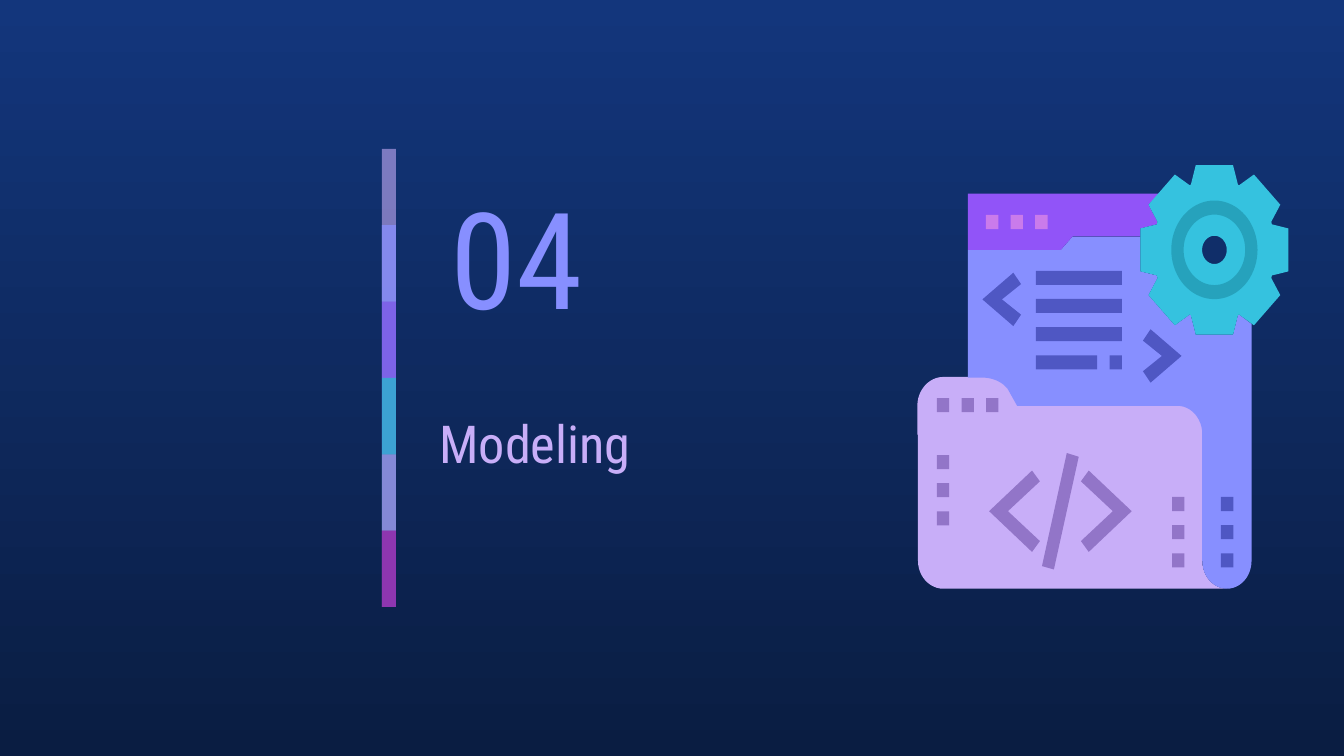
"""Build the "04 Modeling" section slide with its folder-and-gear illustration."""
from dataclasses import dataclass
from math import cos, pi, sin
from typing import NamedTuple, Sequence

from lxml import etree
from pptx import Presentation
from pptx.dml import color
from pptx.enum import shapes, text
from pptx.oxml import ns
from pptx.util import Pt

Outline = list[tuple[float, float]]


@dataclass(frozen=True)
class Theme:
    sky: str = "13367C"
    night: str = "0A1D42"
    lilac: str = "C8AEF8"
    blue: str = "878FFF"
    violet: str = "9154F8"
    cyan: str = "35C2DF"
    teal: str = "26A2BC"
    pink: str = "CA7BEB"
    plum: str = "972CB4"
    mauve: str = "9275C8"
    indigo: str = "4F57C3"
    font: str = "Roboto Condensed"
    number_size: float = 72
    title_size: float = 28


class Bar(NamedTuple):
    colour: str
    opacity: int
    steps: int = 2


class DotRow(NamedTuple):
    left: float
    top: float
    colour: str
    across: bool = False


class Chevron(NamedTuple):
    tip: tuple[float, float]
    outer: tuple[float, float]
    inner: tuple[float, float]
    notch: float
    colour: str
    direction: int = 1


THEME = Theme()
UNIT_X, UNIT_Y = 6.6, 7.55
GEAR_CENTRE = (650.6, 133.9)
BAR_LEFT, BAR_TOP, BAR_WIDTH, BAR_STEP = 204.6, 79.8, 7.5, 40.9
BARS = [
    Bar(THEME.lilac, 59), Bar(THEME.blue, 74), Bar(THEME.violet, 53),
    Bar(THEME.cyan, 76), Bar(THEME.pink, 56), Bar(THEME.plum, 74, 1),
]
DOT_ROWS = [
    DotRow(528.2, 115.2, THEME.pink, True),
    DotRow(501.9, 213.3, THEME.mauve, True),
    DotRow(501.9, 243.8, THEME.mauve),
    DotRow(627.9, 266.3, THEME.mauve),
    DotRow(654.1, 266.3, THEME.indigo),
]
SMALL = ((16.6, 14.3), (20.7, 8.2), 10.5, THEME.indigo)
LARGE = ((23, 21.8), (27.2, 16), 10.1, THEME.mauve)
CHEVRONS = [
    Chevron((526.3, 160.4), *SMALL), Chevron((633, 190.7), *SMALL, -1),
    Chevron((529.9, 273.9), *LARGE), Chevron((606.3, 273.9), *LARGE, -1),
]


def rgb(code: str) -> color.RGBColor:
    return color.RGBColor.from_string(code)


def write_text(box, content: str, *, size: float, colour: str, font: str = THEME.font) -> None:
    frame = box.text_frame
    frame.word_wrap = True
    frame.auto_size = text.MSO_AUTO_SIZE.NONE
    frame.vertical_anchor = text.MSO_ANCHOR.MIDDLE
    frame.margin_left = frame.margin_right = Pt(7.2)
    frame.margin_top = frame.margin_bottom = Pt(7.2)
    para = frame.paragraphs[0]
    para.alignment = text.PP_ALIGN.LEFT
    para.space_before = Pt(0)
    span = para.add_run()
    span.text = content
    span.font.name, span.font.size = font, Pt(size)
    span.font.color.rgb = rgb(colour)


def place(box, left: float, top: float, width: float, height: float) -> None:
    box.left, box.top, box.width, box.height = map(Pt, (left, top, width, height))


def paint(shape, colour: str) -> None:
    shape.shadow.inherit = False
    shape.fill.solid()
    shape.fill.fore_color.rgb = rgb(colour)
    shape.line.fill.background()


def draw_rect(group, left: float, top: float, width: float, height: float,
              colour: str, opacity: int = 100) -> None:
    shape = group.shapes.add_shape(
        shapes.MSO_SHAPE.RECTANGLE, *map(Pt, (left, top, width, height)))
    paint(shape, colour)
    if opacity < 100:
        tint = shape._element.spPr.find(".//" + ns.qn("a:srgbClr"))
        etree.SubElement(tint, ns.qn("a:alpha"), val=str(opacity * 1000))


def draw_outline(group, colour: str, *contours: Outline):
    def to_emu(points: Outline) -> Outline:
        return [(Pt(x), Pt(y)) for x, y in points]

    first, *others = map(to_emu, contours)
    builder = group.shapes.build_freeform(*first[0])
    builder.add_line_segments(first[1:], close=True)
    for contour in others:
        builder.move_to(*contour[0])
        builder.add_line_segments(contour[1:], close=True)
    shape = builder.convert_to_shape()
    paint(shape, colour)
    return shape


def curve(*controls: tuple[float, float], pieces: int = 12) -> Outline:
    def point(t: float) -> tuple[float, float]:
        weights = ((1 - t) ** 3, 3 * t * (1 - t) ** 2, 3 * t * t * (1 - t), t ** 3)
        x, y = (sum(w * c[axis] for w, c in zip(weights, controls)) for axis in (0, 1))
        return x, y

    return [point(i / pieces) for i in range(pieces + 1)]


def ellipse(units: float, pieces: int = 72) -> Outline:
    x, y = GEAR_CENTRE
    angles = [2 * pi * i / pieces for i in range(pieces)]
    return [(x + units * UNIT_X * cos(a), y + units * UNIT_Y * sin(a)) for a in angles]


def gear_outline() -> Outline:
    quarter = [(10, -45.4), (12.6, -35), (13.2, -34.6), (21.2, -40.4),
               (35.3, -24.2), (30.5, -15.1), (30.8, -13.7), (39.6, -11.5)]
    x, y = GEAR_CENTRE
    mirrors = [(1, 1, 1), (1, -1, -1), (-1, -1, 1), (-1, 1, -1)]
    return [(x + sx * px, y + sy * py)
            for sx, sy, order in mirrors for px, py in quarter[::order]]


def draw_chevron(group, mark: Chevron) -> None:
    (ox, oy), (ix, iy) = mark.outer, mark.inner
    offsets = [(ox, -oy), (0, 0), (ox, oy), (ix, iy), (mark.notch, 0), (ix, -iy)]
    x, y = mark.tip
    draw_outline(group, mark.colour, [(x + mark.direction * dx, y + dy) for dx, dy in offsets])


def draw_dots(group, rows: Sequence[DotRow]) -> None:
    for row in rows:
        for i in range(3):
            dx, dy = (2 * UNIT_X * i, 0) if row.across else (0, 2 * UNIT_Y * i)
            draw_rect(group, row.left + dx, row.top + dy, UNIT_X, UNIT_Y, row.colour)


def draw_illustration(group) -> None:
    gear = gear_outline()
    tab_slope = curve((526.3, 202.3), (531.8, 202.3), (536.9, 204.6), (539.8, 208.3))
    shoulder = curve((630.7, 217.4), (638.2, 217.4), (644.1, 224.2), (644.1, 232.6))
    fold = curve((644.1, 300.4), (644.1, 308.8), (650.1, 315.4), (657.3, 315.4))
    left_base = curve((491.8, 300.4), (491.8, 308.8), (498, 315.4), (505.4, 315.4))
    tab_corner = curve((505.4, 202.3), (498, 202.3), (491.8, 209), (491.8, 217.4))
    right_base = curve((657.3, 315.4), (664.6, 315.4), (670.5, 308.8), (670.5, 300.4))
    notch = [(574.6, 126.7), (568.3, 133.9), (518.5, 133.9)]
    draw_outline(group, THEME.lilac, [(491.8, 232.6), *left_base, *fold[::-1], (644.1, 232.6)])
    tab = draw_outline(group, THEME.lilac, [
        *tab_corner, (491.8, 232.6), *shoulder[::-1], (544.9, 217.4), *tab_slope[::-1]])
    tab.line.color.rgb = rgb(THEME.lilac)
    tab.line.width = Pt(0.75)
    draw_outline(group, THEME.blue, [
        *notch, (518.5, 202.3), *tab_slope, (544.9, 217.4), *shoulder, *fold,
        *right_base, (670.5, 173.5), *gear[13:24], (611, 126.7)])
    draw_outline(group, THEME.violet, [
        (518.5, 103.7), *notch[::-1], (611, 126.7), *gear[24:28], (621.4, 103.7)])
    draw_outline(group, THEME.cyan, ellipse(3), ellipse(1))
    draw_outline(group, THEME.cyan, gear, ellipse(3))
    draw_outline(group, THEME.teal, ellipse(3.5), ellipse(2.5))
    draw_dots(group, DOT_ROWS)
    for i, width in enumerate((46, 46, 46, 32.8)):
        draw_rect(group, 555, 145.1 + 2 * UNIT_Y * i, width, UNIT_Y, THEME.indigo)
    draw_rect(group, 594.4, 145.1 + 6 * UNIT_Y, UNIT_X, UNIT_Y, THEME.indigo)
    for mark in CHEVRONS:
        draw_chevron(group, mark)
    draw_outline(group, THEME.mauve, [
        (571.5, 242.7), (558.2, 303.3), (564.6, 305.1), (577.9, 244.7)])


def main() -> None:
    deck = Presentation()
    deck.slide_width, deck.slide_height = Pt(720), Pt(405)
    page = deck.slides.add_slide(deck.slide_layouts[0])
    backdrop = page.background.fill
    backdrop.gradient()
    backdrop.gradient_angle = 270
    for stop, colour in zip(backdrop.gradient_stops, (THEME.sky, THEME.night)):
        stop.color.rgb = rgb(colour)
    number, title = page.placeholders
    place(number, 234, 88.6, 126, 97.2)
    write_text(number, "04", size=THEME.number_size, colour=THEME.blue)
    place(title, 228.2, 202.3, 236.2, 69.1)
    write_text(title, "Modeling", size=THEME.title_size, colour=THEME.lilac)
    draw_illustration(page.shapes.add_group_shape())
    stripe = page.shapes.add_group_shape()
    for i, bar in enumerate(BARS):
        draw_rect(stripe, BAR_LEFT, BAR_TOP + BAR_STEP * i, BAR_WIDTH,
                  BAR_STEP * bar.steps, bar.colour, bar.opacity)
    deck.save("out.pptx")


if __name__ == "__main__":
    main()
